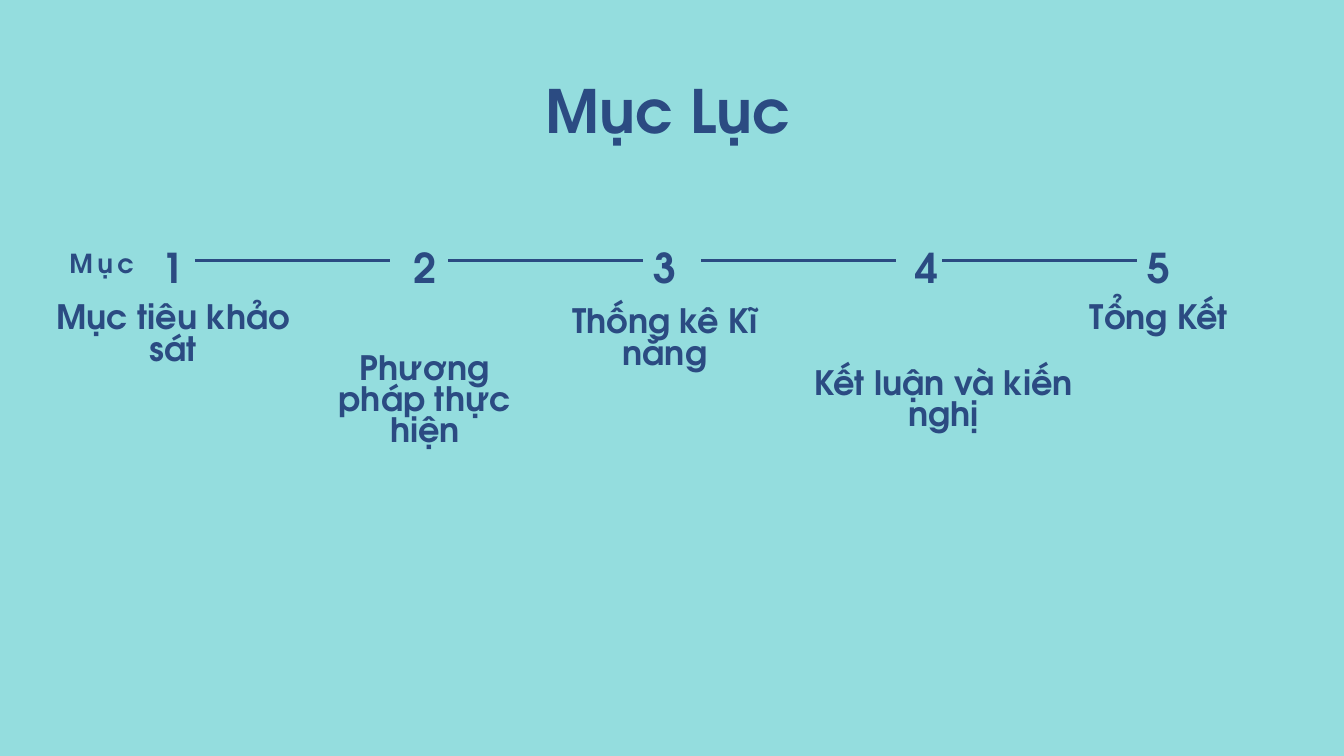
from pptx import Presentation
from pptx.dml.color import RGBColor
from pptx.enum.shapes import MSO_CONNECTOR
from pptx.enum.text import MSO_ANCHOR, MSO_AUTO_SIZE, PP_ALIGN
from pptx.oxml.ns import qn
from pptx.util import Inches, Pt
from lxml import etree

STRAIGHT = MSO_CONNECTOR.STRAIGHT
TOP = MSO_ANCHOR.TOP
GROW = MSO_AUTO_SIZE.SHAPE_TO_FIT_TEXT
CENTER = PP_ALIGN.CENTER

FONT = "TeX Gyre Adventor"
NAVY = "2B4B82"
AQUA = "94DDDE"

TITLE = ("Mục Lục", (1.12, 1.1, 17.65, 1.09))
PREFIX = ("Mục", (0.17, 3.61, 2.69, 0.53))
SECTIONS = [
    ("Mục tiêu khảo sát", (0.57, 4.54, 4.01, 0.99), 2.24),
    ("Phương pháp thực hiện", (5.01, 5.29, 2.63, 1.46), 6),
    ("Thống kê Kĩ năng", (8.45, 4.6, 2.89, 0.99), 9.57),
    ("Kết luận và kiến nghị", (11.99, 5.52, 4.1, 0.99), 13.46),
    ("Tổng Kết", (15.9, 4.53, 2.69, 0.51), 16.92),
]
NUMBER_TOP, NUMBER_WIDTH, NUMBER_HEIGHT = 3.48, 0.66, 0.82
LINE_STARTS = [2.9, 6.67, 10.43, 14.02]
LINE_LENGTH, LINE_Y = 2.9, 3.88


def color(value):
    return RGBColor.from_string(value)


def write(box, text, size, leading, spacing=0):
    frame = box.text_frame
    frame.margin_left = frame.margin_right = 0
    frame.margin_top = frame.margin_bottom = 0
    frame.word_wrap = True
    frame.vertical_anchor = TOP
    frame.auto_size = GROW
    para = frame.paragraphs[0]
    para.alignment = CENTER
    para.line_spacing = Pt(leading)
    para.space_before = Pt(0)
    span = para.add_run()
    span.text = text
    span.font.name = FONT
    span.font.size = Pt(size)
    span.font.bold = True
    span.font.color.rgb = color(NAVY)
    if spacing:
        span.font._element.set("spc", str(round(spacing * 100)))


def add_text(page, area, text, size, leading, spacing=0):
    box = page.shapes.add_textbox(*map(Inches, area))
    write(box, text, size, leading, spacing)


def add_line(page, left):
    line = page.shapes.add_connector(
        STRAIGHT, Inches(left), Inches(LINE_Y), Inches(left + LINE_LENGTH), Inches(LINE_Y)
    )
    line.line.color.rgb = color(NAVY)
    line.line.width = Pt(3)
    etree.SubElement(line._element.spPr, qn("a:effectLst"))


def main():
    """Build the table of contents slide."""
    deck = Presentation()
    deck.slide_width, deck.slide_height = Inches(20), Inches(11.25)
    page = deck.slides.add_slide(deck.slide_layouts[5])
    page.background.fill.solid()
    page.background.fill.fore_color.rgb = color(AQUA)

    text, area = TITLE
    title = page.shapes.title
    title.left, title.top, title.width, title.height = map(Inches, area)
    write(title, text, 64, 76.8)

    text, area = PREFIX
    add_text(page, area, text, 28, 39.2, 4.8)
    for number, (text, area, left) in enumerate(SECTIONS, 1):
        add_text(page, area, text, 36, 33.6)
        number_area = (left, NUMBER_TOP, NUMBER_WIDTH, NUMBER_HEIGHT)
        add_text(page, number_area, str(number), 44, 61.6, 7.5)
    for left in LINE_STARTS:
        add_line(page, left)

    deck.save("out.pptx")


if __name__ == "__main__":
    main()
